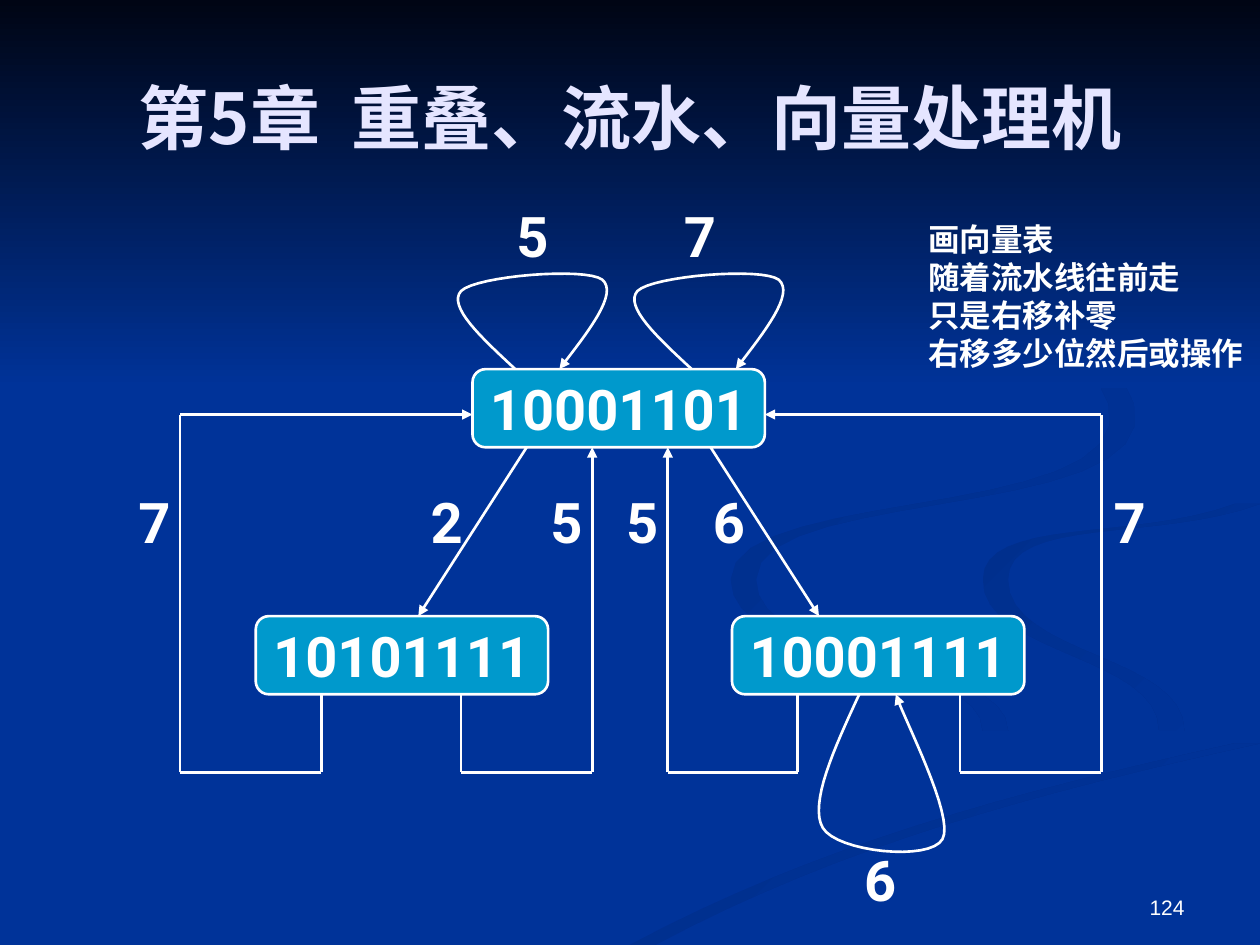
from dataclasses import dataclass
from itertools import pairwise
from lxml.etree import SubElement as Sub
from pptx import Presentation as Deck
from pptx.dml.color import RGBColor as RGB
from pptx.enum.shapes import MSO_CONNECTOR as Link, MSO_SHAPE as Kind
from pptx.enum.text import MSO_ANCHOR as Anchor, PP_ALIGN as Align
from pptx.oxml.ns import qn
from pptx.util import Inches, Pt


@dataclass(frozen=True)
class Theme:
    """Colours, fonts and sizes of the slide."""
    back: str = "003399"
    night: str = "000514"
    shade: str = "002F8D"
    node: str = "0099CC"
    ink: str = "FFFFFF"
    head: str = "E5E5FF"
    main: str = "Roboto"
    asian: str = "Noto Sans CJK SC"
    serif: str = "Times New Roman"
    plain: str = "Arial"
    title: int = 40
    label: int = 32
    note: int = 18
    page: int = 12
    stroke: float = 1.5


T = Theme()
COLS, ROWS = 100, 75


def grid(*vals):
    """Turn grid counts into slide lengths."""
    return [Inches(v * 10 / COLS) for v in vals]


def style(obj, **vals):
    """Set each given value on an object."""
    for key, val in vals.items():
        setattr(obj, key, val)


def write(frame, lines, size, font=T.main, color=T.ink, align=Align.LEFT,
          anchor=Anchor.TOP, wrap=True, bold=True):
    """Fill a text frame; a line is a string or a list of text and font pairs."""
    style(frame, word_wrap=wrap, vertical_anchor=anchor)
    for i, line in enumerate(lines):
        para = frame.add_paragraph() if i else frame.paragraphs[0]
        para.alignment = align
        for text, face in [(line, font)] if isinstance(line, str) else line:
            run = para.add_run()
            run.text = text
            style(run.font, size=Pt(size), bold=bold, name=face)
            run.font.color.rgb = RGB.from_string(color)
            Sub(run.font._element, qn("a:ea"), typeface=T.asian)


def label(slide, box, lines, size, **form):
    """Add a text box on the grid."""
    write(slide.shapes.add_textbox(*grid(*box)).text_frame, lines, size, **form)


def stroke(shape, arrow=False):
    """Draw the outline, with an arrowhead at its end if asked."""
    shape.line.color.rgb = RGB.from_string(T.ink)
    shape.line.width = Pt(T.stroke)
    if arrow:
        Sub(shape._element.spPr.find(qn("a:ln")), qn("a:tailEnd"), type="triangle")


def curve(knots, steps=16):
    """Sample a chain of cubic curves."""
    dots = [knots[0]]
    for i in range(0, len(knots) - 1, 3):
        for t in (n / steps for n in range(1, steps + 1)):
            rates = ((1 - t) ** 3, 3 * t * (1 - t) ** 2, 3 * t * t * (1 - t), t ** 3)
            dots.append(tuple(sum(r * k[d] for r, k in zip(rates, knots[i:i + 4]))
                              for d in (0, 1)))
    return dots


def trace(slide, dots, close):
    """Build a free outline through grid points."""
    spots = [grid(*dot) for dot in dots]
    pen = slide.shapes.build_freeform(*spots[0], scale=1.0)
    pen.add_line_segments(spots[1:], close=close)
    shape = pen.convert_to_shape()
    shape.shadow.inherit = False
    return shape


def blend(shape, start, end, angle):
    """Fill a shape with a two-colour gradient and no outline."""
    shape.fill.gradient()
    shape.fill.gradient_angle = -angle % 360
    for stop, color, at in zip(shape.fill.gradient_stops, (start, end), (0, 1)):
        stop.position = at
        stop.color.rgb = RGB.from_string(color)
    shape.line.fill.background()


def ribbon(slide, knots, wide=2):
    """Sweep a faint band along a curve."""
    edge = curve(knots)
    blend(trace(slide, edge + [(x + wide, y) for x, y in reversed(edge)], True),
          T.shade, T.back, 45)


def scene(slide):
    """Paint the ribbons and the dark band at the top."""
    slide.background.fill.solid()
    slide.background.fill.fore_color.rgb = RGB.from_string(T.back)
    ribbon(slide, [(87, 30), (95, 42), (58, 38), (58, 46), (58, 53), (78, 52), (78, 58)])
    ribbon(slide, [(98, 40), (90, 43), (78, 41), (78, 46), (78, 52), (92, 52), (92, 58)])
    ribbon(slide, [(98, 59), (80, 63), (65, 67), (50, 75)])
    band = slide.shapes.add_shape(Kind.RECTANGLE, *grid(0, 0, COLS, 30.8))
    band.shadow.inherit = False
    blend(band, T.night, T.back, 90)


def node(slide, x, y, text):
    """Place one state of the pipeline."""
    shape = slide.shapes.add_shape(Kind.ROUNDED_RECTANGLE, *grid(x, y, 23.2, 6.2))
    shape.shadow.inherit = False
    shape.fill.solid()
    shape.fill.fore_color.rgb = RGB.from_string(T.node)
    stroke(shape)
    write(shape.text_frame, [text], T.label, align=Align.CENTER,
          anchor=Anchor.MIDDLE, wrap=False)


def route(slide, x, y, dots):
    """Link points with straight lines, the last with an arrow."""
    legs = list(pairwise((x + a, y + b) for a, b in dots))
    for i, (start, end) in enumerate(legs, 1):
        line = slide.shapes.add_connector(Link.STRAIGHT, *grid(*start, *end))
        stroke(line, i == len(legs))
        Sub(line._element.spPr, qn("a:effectLst"))


def loop(slide, x, y, knots):
    """Draw a curved line that ends in an arrow."""
    shape = trace(slide, [(x + a, y + b) for a, b in curve(knots)], False)
    shape.fill.background()
    stroke(shape, True)


def graph(slide, x, y):
    """Draw the state graph from its top left corner."""
    top, low, feet, turn, side = 20, 33.4, 39.6, 45.8, 17.4
    for a, b, text in [(48.1, low, "10001111"), (27.5, 13.8, "10001101"),
                       (10.3, low, "10101111")]:
        node(slide, x + a, y + b, text)
    for start, end in [(31.8, 23.2), (46.4, 55)]:
        route(slide, x, y, [(start, top), (end, low)])
    for out, back in [(26.6, 37), (53.3, 43)]:
        route(slide, x, y, [(out, feet), (out, turn), (back, turn), (back, top)])
    for out, back, tip in [(15.5, 4.3, 27.5), (66.2, 77.4, 50.7)]:
        route(slide, x, y, [(out, feet), (out, turn), (back, turn), (back, side), (tip, side)])
    upper = [(5.4, 8.1), (2.7, 5.6), (0, 3.1), (1.1, 1.9), (2.3, 0.7),
             (11, 0), (12.3, 1), (13.6, 2.1), (11.2, 5.1), (8.9, 8.1)]
    lower = [(4, 0), (2, 4.3), (0, 8.7), (1.1, 10.6), (2.2, 12.5),
             (9.6, 13.3), (10.6, 11.5), (11.6, 9.7), (7.5, 1.9), (6.9, 0)]
    loop(slide, x + 54.2, y + feet, lower)
    for a in (25.5, 39.5):
        loop(slide, x + a, y + 5.7, upper)
    for b, marks, spots in [(0, "57", (30, 43.3)), (51.1, "6", (57.6,)),
                            (22.7, "725567", (0, 23.2, 32.7, 38.7, 45.6, 77.4))]:
        for text, a in zip(marks, spots):
            label(slide, (x + a, y + b, 5.2, 6.3), [text], T.label)


def header(slide, box):
    """Move and format the title."""
    title = slide.shapes.title
    style(title, **dict(zip(("left", "top", "width", "height"), grid(*box))))
    write(title.text_frame, [[("第5章  ", T.asian), ("重叠、流水、向量处理机", T.main)]],
          T.title, color=T.head, align=Align.CENTER, anchor=Anchor.MIDDLE)
    slide.shapes._spTree.append(title._element)


def main():
    """Build and save the slide."""
    deck = Deck()
    style(deck, **dict(zip(("slide_width", "slide_height"), grid(COLS, ROWS))))
    slide = deck.slides.add_slide(deck.slide_layouts[5])
    scene(slide)
    header(slide, (5, 3, 90, 12.5))
    graph(slide, 10, 15.5)
    label(slide, (72.7, 17, 27.3, 13.1),
          ["画向量表", "随着流水线往前走", "只是右移补零", "右移多少位然后或操作"],
          T.note, font=T.serif, wrap=False)
    label(slide, (71.7, 68.3, 23.3, 5.2), ["124"], T.page, font=T.plain,
          align=Align.RIGHT, anchor=Anchor.BOTTOM, bold=False)
    deck.save("out.pptx")


if __name__ == "__main__":
    main()
